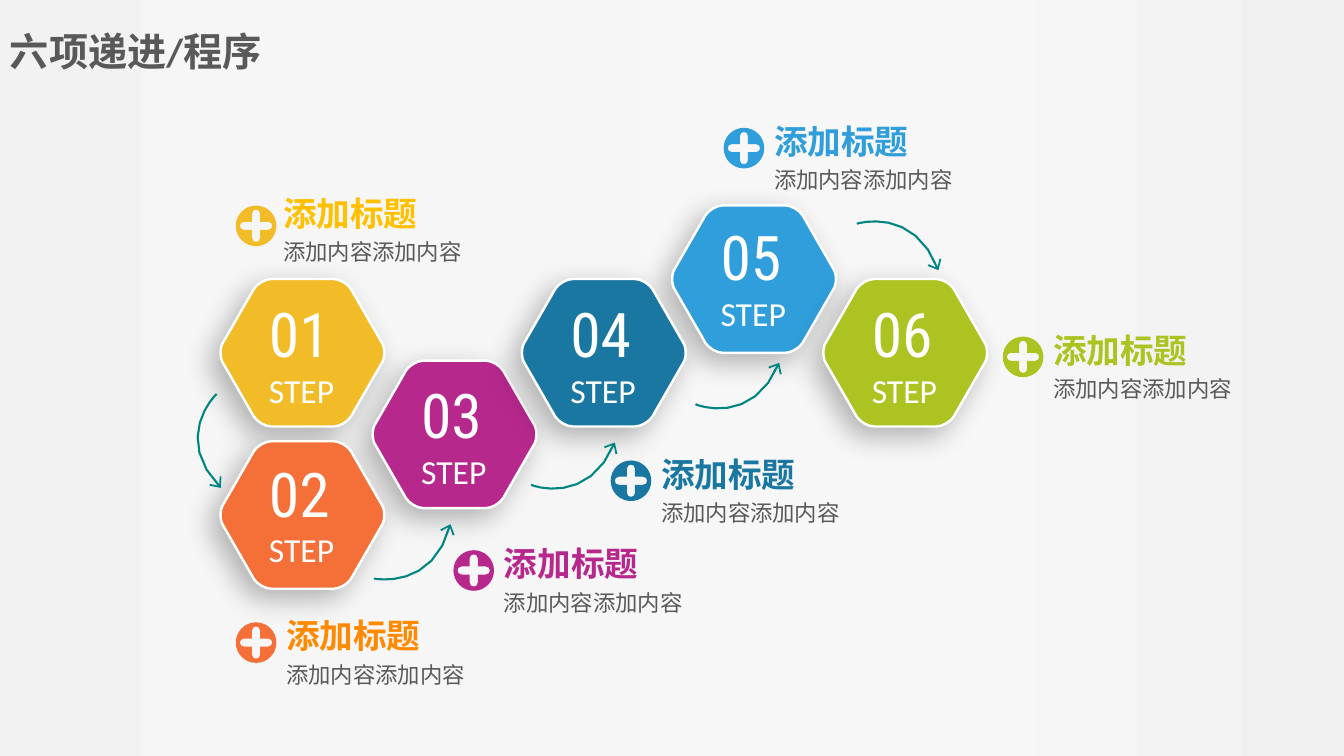
"""Build the six-step progress slide with hexagons, arrows and captions."""
from dataclasses import dataclass
from itertools import pairwise

from lxml.etree import SubElement
from pptx import Presentation
from pptx.dml.color import RGBColor
from pptx.enum.text import MSO_ANCHOR, MSO_AUTO_SIZE
from pptx.oxml.ns import qn
from pptx.util import Pt

Point = tuple[float, float]
Segment = list[Point]
Contour = list[Segment]

COLORS = {
    "yellow": "F2BB28", "orange": "F57038", "purple": "B7288D",
    "navy": "1A77A1", "blue": "309EDA", "green": "ADC322",
    "amber": "FFC000", "bright_orange": "FF8900",
    "teal": "008581", "gray": "595959", "white": "FFFFFF", "black": "000000",
}
BACKGROUND_STOPS = {0: "F2F2F2", 21: "F6F6F6", 48: "F7F7F7", 77: "F5F5F5", 100: "F0F0F0"}
TITLE_FONT = {"name": "Calibri", "size": Pt(28), "bold": True}
HEADING_FONT = {"name": "Calibri", "size": Pt(24), "bold": True}
CONTENT_FONT = {"name": "Calibri", "size": Pt(16), "bold": False}
NUMBER_FONT = {"name": "Roboto Condensed", "size": Pt(44)}
STEP_FONT = {"name": "Calibri", "size": Pt(24)}
RIGHT_CORNER = [(56.9, -7), (59, -3.6), (59, 3.6), (56.9, 7)]
LOWER_RIGHT_CORNER = [(34.6, 45.7), (32.4, 49.2), (26.6, 52.7), (22.3, 52.7)]
CIRCLE_QUARTER = [(14.5, 8), (8, 14.5), (0, 14.5)]
PLUS_ARM = [[(8.64, -2.88)], [(12.48, -2.88), (12.48, 2.88), (8.64, 2.88)], [(2.88, 2.88)]]
ARROW_PARTS = 8


@dataclass
class Step:
    number: str
    color: str
    center: Point
    icon: Point
    heading_color: str
    label_shift: Point = (14.4, -28.8)
    number_rise: float = 0


@dataclass
class TextLine:
    text: str
    font: dict
    color: str
    spacing: float = 1.0


STEPS = [
    Step("03", "purple", (324.7, 310.3), (338.4, 407.5), "purple"),
    Step("05", "blue", (538.6, 199.4), (531.4, 105.8), "blue", number_rise=2.3),
    Step("06", "green", (646.6, 252), (730.8, 254.9), "green"),
    Step("01", "yellow", (216, 252), (182.9, 161.3), "amber", label_shift=(12.2, -33.1)),
    Step("04", "navy", (431.3, 252), (450.7, 343.4), "navy"),
    Step("02", "orange", (216, 367.9), (182.9, 459), "bright_orange", number_rise=1.8),
]
ARROW_CURVES = [
    [(154.8, 281.5), (153.4, 282.2), (123.1, 313.2), (157.7, 348.5)],
    [(267.1, 413.3), (267.8, 413.3), (309.6, 421.9), (321.8, 374.4)],
    [(379.4, 346.3), (380.2, 347), (420.5, 361.4), (439.2, 316.1)],
    [(496.8, 288.7), (497.5, 289.4), (537.8, 304.6), (556.6, 259.2)],
    [(612, 159.8), (612, 159.8), (653, 146.9), (670.3, 193)],
]


def rgb(color: str) -> RGBColor:
    return RGBColor.from_string(COLORS[color])


def curve_point(points: list[Point], ratio: float) -> Point:
    while len(points) > 1:
        points = [(a[0] + (b[0] - a[0]) * ratio, a[1] + (b[1] - a[1]) * ratio)
                  for a, b in pairwise(points)]
    return points[0]


def four_turns(part: Contour) -> Contour:
    result = []
    for _ in range(4):
        result += part
        part = [[(-y, x) for x, y in segment] for segment in part]
    return result


def hexagon_contour() -> Contour:
    lower_left = [(-x, y) for x, y in reversed(LOWER_RIGHT_CORNER)]
    corners = [RIGHT_CORNER, LOWER_RIGHT_CORNER, lower_left]
    corners += [[(-x, -y) for x, y in corner] for corner in corners]
    return [segment for corner in corners for segment in (corner[:1], corner[1:])]


def circle_contour() -> Contour:
    contour = [[(14.5, 0)]] + four_turns([CIRCLE_QUARTER])
    return [[(-x, y) for x, y in segment] for segment in contour]


def draw_outline(slide, contours: list[Contour], center: Point = (0, 0), close: bool = True):
    builder = None
    for contour in contours:
        points = [(Pt(center[0] + x), Pt(center[1] + y)) for segment in contour for x, y in segment]
        if builder is None:
            builder = slide.shapes.build_freeform(*points[0])
        else:
            builder.move_to(*points[0])
        builder.add_line_segments(points[1:], close=close)
    shape = builder.convert_to_shape()
    shape.shadow.inherit = False
    lines = iter(list(shape._element.iter(qn("a:lnTo"))))
    for segment in (segment for contour in contours for segment in contour[1:]):
        first, *others = [next(lines) for _ in segment]
        if others:
            first.tag = qn("a:cubicBezTo")
        for other in others:
            first.append(other[0])
            other.getparent().remove(other)
    return shape


def draw_hexagon(slide, step: Step) -> None:
    shape = draw_outline(slide, [hexagon_contour()], step.center)
    shape.fill.solid()
    shape.fill.fore_color.rgb = rgb(step.color)
    shape.line.color.rgb = rgb("white")
    shape.line.width = Pt(1.75)
    effects = shape._element.spPr.find(qn("a:effectLst"))
    shadow = SubElement(effects, qn("a:outerShdw"), blurRad=str(Pt(20)), dist=str(Pt(9)),
                        dir="8100000", algn="tr", rotWithShape="0")
    color = SubElement(shadow, qn("a:srgbClr"), val=COLORS["black"])
    SubElement(color, qn("a:alpha"), val="28000")


def draw_arrow(slide, curve: list[Point]) -> None:
    contour = [[curve_point(curve, part / ARROW_PARTS)] for part in range(ARROW_PARTS + 1)]
    shape = draw_outline(slide, [contour], close=False)
    shape.fill.background()
    shape.line.color.rgb = rgb("teal")
    shape.line.width = Pt(1.5)
    SubElement(shape.line._get_or_add_ln(), qn("a:tailEnd"), type="arrow", w="lg", len="med")


def draw_icon(slide, step: Step) -> None:
    shape = draw_outline(slide, [circle_contour(), four_turns(PLUS_ARM)], step.icon)
    shape.fill.solid()
    shape.fill.fore_color.rgb = rgb(step.color)
    shape.line.fill.background()


def draw_text(slide, position: Point, size: Point, lines: list[TextLine], frame_format: dict) -> None:
    box = slide.shapes.add_textbox(*(Pt(value) for value in (*position, *size)))
    frame = box.text_frame
    frame.auto_size = MSO_AUTO_SIZE.SHAPE_TO_FIT_TEXT
    for name, value in frame_format.items():
        setattr(frame, name, value)
    for index, line in enumerate(lines):
        paragraph = frame.add_paragraph() if index else frame.paragraphs[0]
        paragraph.line_spacing = line.spacing
        run = paragraph.add_run()
        run.text = line.text
        for name, value in line.font.items():
            setattr(run.font, name, value)
        run.font.color.rgb = rgb(line.color)


def draw_label(slide, step: Step) -> None:
    position = (step.icon[0] + step.label_shift[0], step.icon[1] + step.label_shift[1])
    lines = [TextLine("添加标题", HEADING_FONT, step.heading_color, 1.2),
             TextLine("添加内容添加内容", CONTENT_FONT, "gray", 1.2)]
    draw_text(slide, position, (224.6, 65.5), lines, {"word_wrap": True})


def draw_number(slide, step: Step) -> None:
    position = (step.center[0] - 31, step.center[1] - 45 - step.number_rise)
    lines = [TextLine(step.number, NUMBER_FONT, "white"), TextLine("STEP", STEP_FONT, "white")]
    draw_text(slide, position, (62, 90), lines,
              {"word_wrap": False, "vertical_anchor": MSO_ANCHOR.MIDDLE})


def paint_background(slide) -> None:
    fill = slide.background.fill
    fill.gradient()
    fill.gradient_angle = 0
    stops = slide._element.find(".//" + qn("a:gsLst"))
    stops.clear()
    for position, color in BACKGROUND_STOPS.items():
        stop = SubElement(stops, qn("a:gs"), pos=str(position * 1000))
        SubElement(stop, qn("a:srgbClr"), val=color)


def main() -> None:
    presentation = Presentation()
    presentation.slide_width, presentation.slide_height = Pt(960), Pt(540)
    slide = presentation.slides.add_slide(presentation.slide_layouts[6])
    paint_background(slide)
    for step in STEPS:
        draw_hexagon(slide, step)
    for curve in ARROW_CURVES:
        draw_arrow(slide, curve)
    for step in STEPS:
        draw_icon(slide, step)
        draw_label(slide, step)
        draw_number(slide, step)
    draw_text(slide, (0, 15.8), (196.6, 41), [TextLine("六项递进/程序", TITLE_FONT, "gray")],
              {"word_wrap": True})
    presentation.save("out.pptx")


if __name__ == "__main__":
    main()
